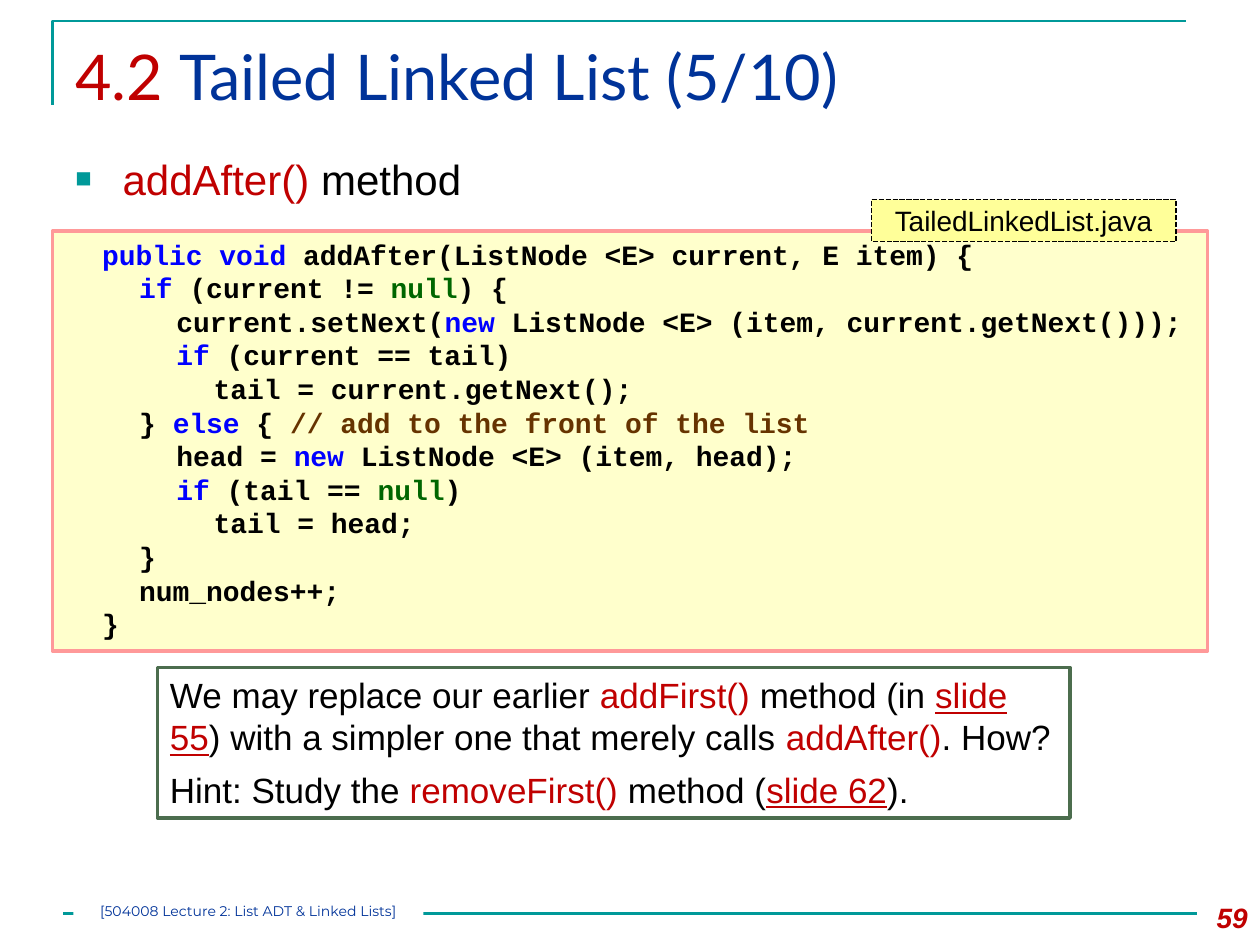
import pptx
import pptx.util
import pptx.dml.color
import pptx.enum.dml
import pptx.enum.shapes
import pptx.enum.text
import lxml.etree

Pt = pptx.util.Pt
RGB = pptx.dml.color.RGBColor
ALIGN = pptx.enum.text.PP_ALIGN
ANCHOR = pptx.enum.text.MSO_ANCHOR

TEAL = RGB(0x00, 0x99, 0x99)
RED = RGB(0xC0, 0x00, 0x00)
NAVY = RGB(0x00, 0x33, 0x99)
BLACK = RGB(0x00, 0x00, 0x00)
WHITE = RGB(0xFF, 0xFF, 0xFF)
CREAM = RGB(0xFF, 0xFF, 0xCC)
LEMON = RGB(0xFF, 0xFF, 0x99)
PINK = RGB(0xFF, 0x99, 0x99)
MOSS = RGB(0x4C, 0x6D, 0x4E)
BLUE = RGB(0x00, 0x00, 0xFF)
GREEN = RGB(0x00, 0x66, 0x00)
BROWN = RGB(0x66, 0x33, 0x00)

STEP = 21.25
CODE = [
    (1, [("public void ", BLUE), ("addAfter(ListNode <E> current, E item) {", BLACK)]),
    (2, [("if ", BLUE), ("(current != ", BLACK), ("null", GREEN), (") {", BLACK)]),
    (3, [("current.setNext(", BLACK), ("new", BLUE),
         (" ListNode <E> (item, current.getNext()));", BLACK)]),
    (3, [("if", BLUE), (" (current == tail)", BLACK)]),
    (4, [("tail = current.getNext();", BLACK)]),
    (2, [("} ", BLACK), ("else", BLUE), (" { ", BLACK),
         ("// add to the front of the list", BROWN)]),
    (3, [("head = ", BLACK), ("new", BLUE), (" ListNode <E> (item, head);", BLACK)]),
    (3, [("if", BLUE), (" (tail == ", BLACK), ("null", GREEN), (")", BLACK)]),
    (4, [("tail = head;", BLACK)]),
    (2, [("}", BLACK)]),
    (2, [("num_nodes++;", BLACK)]),
    (1, [("}", BLACK)]),
]
NOTE = [
    [("We may replace our earlier ", BLACK), ("addFirst() ", RED),
     ("method (in ", BLACK), ("slide 55", RED, True),
     (") with a simpler one that merely calls ", BLACK),
     ("addAfter()", RED), (". How?", BLACK)],
    [("Hint: Study the ", BLACK), ("removeFirst() ", RED), ("method (", BLACK),
     ("slide 62", RED, True), (").", BLACK)],
]


def add_text(frame, lines, face, size, align=ALIGN.LEFT, bold=False):
    """Fill a frame with lines of coloured runs."""
    frame.word_wrap = True
    for num, runs in enumerate(lines):
        para = frame.add_paragraph() if num else frame.paragraphs[0]
        para.alignment = align
        para.font.name, para.font.size, para.font.bold = face, Pt(size), bold
        for words, color, *under in runs:
            run = para.add_run()
            run.text = words
            run.font.color.rgb = color
            if under:
                run.font.underline = True
    return frame.paragraphs


def add_label(slide, box, runs, face, size, **look):
    """Add a text box with one paragraph and return that paragraph."""
    frame = slide.shapes.add_textbox(*map(Pt, box)).text_frame
    return add_text(frame, [runs], face, size, **look)[0]


def add_panel(slide, box, fill, edge=None, width=2):
    """Add a filled rectangle and return it."""
    kind = pptx.enum.shapes.MSO_SHAPE.RECTANGLE
    panel = slide.shapes.add_shape(kind, *map(Pt, box))
    panel.shadow.inherit = False
    panel.fill.solid()
    panel.fill.fore_color.rgb = fill
    if edge is None:
        panel.line.fill.background()
    else:
        panel.line.color.rgb = edge
        panel.line.width = Pt(width)
    panel.text_frame.vertical_anchor = ANCHOR.TOP
    return panel


def add_rules(slide):
    """Draw the corner rule and the footer rule."""
    pen = slide.shapes.build_freeform(Pt(30), Pt(60))
    pen.add_line_segments([(Pt(30), Pt(12)), (Pt(678), Pt(12))], close=False)
    corner = pen.convert_to_shape()
    corner.shadow.inherit = False
    corner.fill.background()
    kind = pptx.enum.shapes.MSO_CONNECTOR.STRAIGHT
    rule = slide.shapes.add_connector(kind, Pt(36), Pt(522), Pt(684), Pt(522))
    lxml.etree.SubElement(rule._element.spPr, pptx.oxml.ns.qn("a:effectLst"))
    for shape in (corner, rule):
        shape.line.color.rgb = TEAL
        shape.line.width = Pt(1.5)


def set_indent(para, left, first=0):
    """Set the left margin and first-line indent."""
    props = para._p.get_or_add_pPr()
    props.set("marL", str(int(Pt(left))))
    props.set("indent", str(int(Pt(first))))
    return props


def add_bullet(para):
    """Give a paragraph a small teal square bullet."""
    props = set_indent(para, 27, -27)
    qn = pptx.oxml.ns.qn
    hue = lxml.etree.SubElement(props, qn("a:buClr"))
    lxml.etree.SubElement(hue, qn("a:srgbClr"), val=str(TEAL))
    lxml.etree.SubElement(props, qn("a:buSzPct"), val="65000")
    lxml.etree.SubElement(props, qn("a:buFont"), typeface="Arial")
    lxml.etree.SubElement(props, qn("a:buChar"), char="\u25a0")


def add_code(slide):
    """Add the code listing and its file tag."""
    panel = add_panel(slide, (30, 132, 660, 240), CREAM, PINK)
    lines = [runs for _, runs in CODE]
    paras = add_text(panel.text_frame, lines, "Courier New", 16, bold=True)
    for para, (depth, _) in zip(paras, CODE):
        set_indent(para, depth * STEP)
    tag = add_panel(slide, (498, 114, 174, 24), LEMON, BLACK, 1)
    tag.line.dash_style = pptx.enum.dml.MSO_LINE.SQUARE_DOT
    tag.text_frame.vertical_anchor = ANCHOR.MIDDLE
    add_text(tag.text_frame, [[("TailedLinkedList.java", BLACK)]], "Arial", 16, ALIGN.CENTER)


def add_note(slide):
    """Add the boxed question and hint."""
    panel = add_panel(slide, (90, 381.5, 521.5, 86), WHITE, MOSS)
    for para in add_text(panel.text_frame, NOTE, "Arial", 20):
        para.space_after = Pt(6)


def add_footer(slide):
    """Add the lecture name over the footer rule."""
    panel = add_panel(slide, (42, 516, 200, 14.4), WHITE)
    frame = panel.text_frame
    frame.margin_left = frame.margin_right = frame.margin_top = frame.margin_bottom = 0
    runs = [("[504008 Lecture 2: List ADT & Linked Lists]", NAVY)]
    add_text(frame, [runs], "Montserrat", 8, ALIGN.CENTER)


def main():
    """Build the slide and save it."""
    deck = pptx.Presentation()
    deck.slide_width, deck.slide_height = Pt(720), Pt(540)
    slide = deck.slides.add_slide(deck.slide_layouts[6])
    add_rules(slide)
    add_label(slide, (36, 18, 648, 62),
              [("4.2 ", RED), ("Tailed Linked List (5/10)", NAVY)], "Lato", 36)
    topic = add_label(slide, (36, 84, 666, 42),
                      [("addAfter() ", RED), ("method", BLACK)], "Arial", 24)
    topic.space_before = Pt(3)
    add_bullet(topic)
    page = add_label(slide, (672, 511, 48, 29), [("59", RED)], "Arial", 16,
                     align=ALIGN.RIGHT, bold=True)
    page.font.italic = True
    add_code(slide)
    add_note(slide)
    add_footer(slide)
    deck.save("out.pptx")


main()
